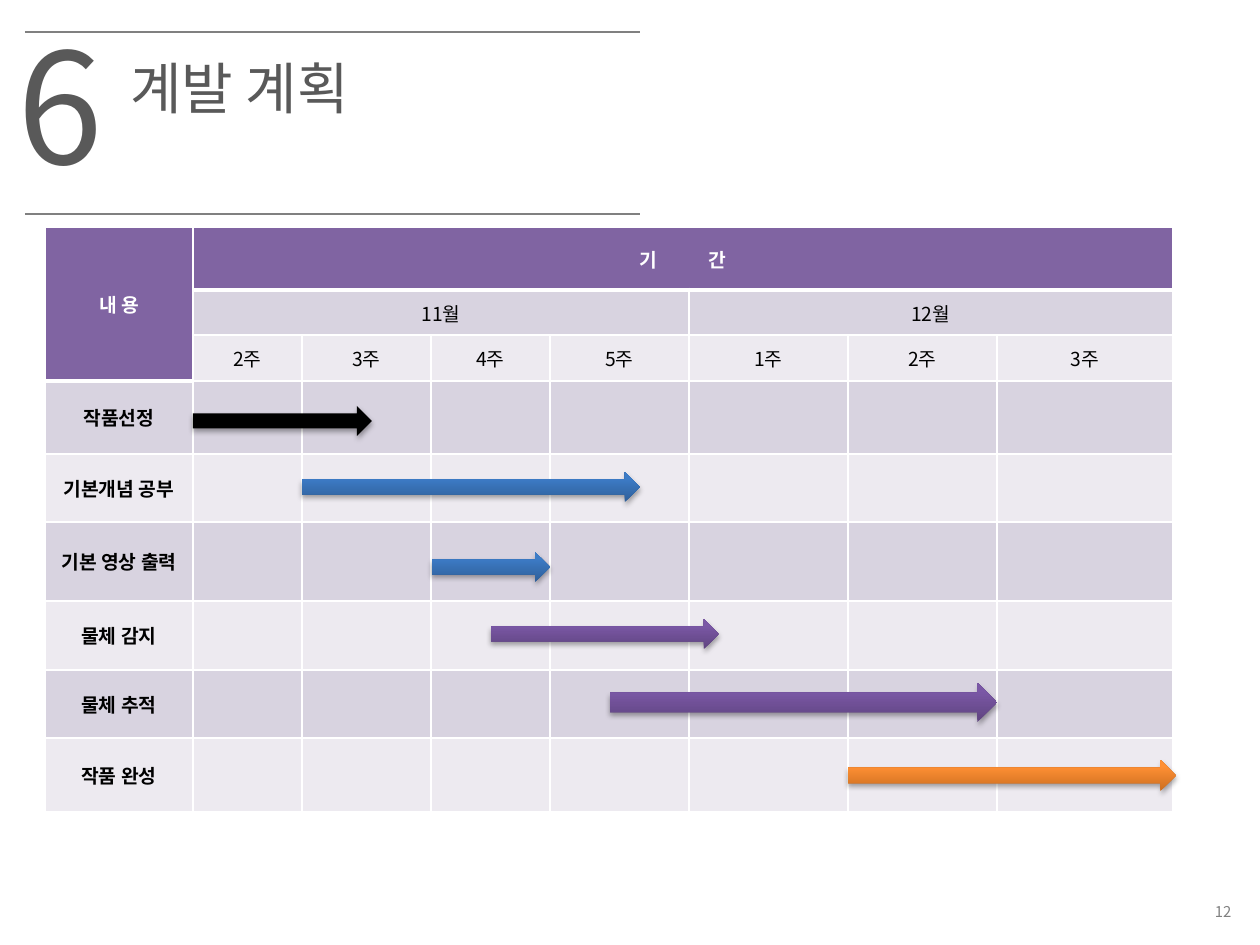
from pptx import Presentation
from pptx.dml.color import RGBColor as Rgb
from pptx.enum.shapes import MSO_CONNECTOR as Link, MSO_SHAPE as Preset
from pptx.enum.text import MSO_ANCHOR as Anchor, MSO_AUTO_SIZE as AutoSize, PP_ALIGN as Align
from pptx.oxml import parse_xml
from pptx.oxml.ns import nsdecls, qn
from pptx.util import Emu, Pt
from lxml.etree import SubElement

FONT = "Noto Sans CJK KR"
COLORS = {
    "heading": "595959", "rule": "808080", "white": "FFFFFF", "black": "000000",
    "purple": "8064A2", "dark band": "D8D3E0", "light band": "EDEAF0",
}
GRADIENTS = {
    "blue": ("2F5F99", "3D7CC7"),
    "violet": ("5F4480", "7B58A6"),
    "orange": ("CC6E20", "FF9034"),
}
COLUMNS = [148, 109, 129, 119, 139, 159, 149, 176]
ROWS = [63, 45, 46, 73, 68, 79, 69, 68, 74]
WEEKS = ["2주", "3주", "4주", "5주", "1주", "2주", "3주"]
TASKS = [
    ("작품선정", "black", (193, 406, 179, 30)),
    ("기본개념 공부", "blue", (302, 472, 338, 30)),
    ("기본 영상 출력", "blue", (432, 552, 118, 30)),
    ("물체 감지", "violet", (491, 619, 228, 30)),
    ("물체 추적", "violet", (610, 683, 387, 39)),
    ("작품 완성", "orange", (848, 760, 328, 31)),
]


def px(length):
    return Emu(round(length * 914400 / 126))


def color(name):
    return Rgb.from_string(COLORS[name])


class SlideBuilder:
    def __init__(self, page):
        self.page = page

    def style(self, para, size, ink, align, bold=False):
        para.alignment = align
        font = para.font
        font.size, font.bold, font.name = Pt(size), bold, FONT
        font.color.rgb = color(ink)
        defaults = para._p.pPr.find(qn("a:defRPr"))
        SubElement(defaults, qn("a:ea")).set("typeface", FONT)

    def fill_text(self, shape, text, size, ink, align=Align.LEFT, anchor=Anchor.TOP, spacing=0.9):
        frame = shape.text_frame
        frame.text = text
        frame.word_wrap = True
        frame.auto_size = AutoSize.NONE
        frame.vertical_anchor = anchor
        para = frame.paragraphs[0]
        para.line_spacing = spacing
        self.style(para, size, ink, align)

    def title(self, text, left, top, width, height):
        shape = self.page.shapes.title
        shape.left, shape.top, shape.width, shape.height = map(px, (left, top, width, height))
        self.fill_text(shape, text, 32, "heading")
        shape.text_frame.margin_left = px(25)

    def text(self, text, left, top, width, height, size, ink, **layout):
        box = self.page.shapes.add_textbox(*map(px, (left, top, width, height)))
        self.fill_text(box, text, size, ink, **layout)

    def rule(self, left, right, top):
        line = self.page.shapes.add_connector(Link.STRAIGHT, *map(px, (left, top, right, top)))
        line.line.color.rgb = color("rule")
        line.line.width = Pt(0.75)
        SubElement(line._element.spPr, qn("a:effectLst"))

    def table(self, left, top, columns, rows):
        frame = self.page.shapes.add_table(
            len(rows), len(columns), *map(px, (left, top, sum(columns), sum(rows))))
        table = frame.table
        table.first_row = table.horz_banding = False
        for column, width in zip(table.columns, columns):
            column.width = px(width)
        for row, height in zip(table.rows, rows):
            row.height = px(height)
        return table

    def cell(self, cell, text, fill, ink, bold, top_border, bottom_border):
        borders = {"L": 1, "R": 1, "T": top_border, "B": bottom_border}
        properties = cell._tc.get_or_add_tcPr()
        for side, width in borders.items():
            properties.append(parse_xml(
                f'<a:ln{side} {nsdecls("a")} w="{Pt(width)}"><a:solidFill>'
                f'<a:srgbClr val="{COLORS["white"]}"/></a:solidFill></a:ln{side}>'))
        cell.fill.solid()
        cell.fill.fore_color.rgb = color(fill)
        cell.vertical_anchor = Anchor.MIDDLE
        cell.text = text
        self.style(cell.text_frame.paragraphs[0], 11, ink, Align.CENTER, bold)

    def arrow(self, paint, left, top, width, height):
        shape = self.page.shapes.add_shape(
            Preset.RIGHT_ARROW, *map(px, (left, top, width, height)))
        shape.line.fill.background()
        if paint in GRADIENTS:
            shape.fill.gradient()
            shape.fill.gradient_angle = 90
            stops = shape.fill.gradient_stops
            for stop, position, shade in zip(stops, (0, 0.8), GRADIENTS[paint]):
                stop.position = position
                stop.color.rgb = Rgb.from_string(shade)
        else:
            shape.fill.solid()
            shape.fill.fore_color.rgb = color(paint)
        shape.shadow.inherit = False
        shape._element.spPr.find(qn("a:effectLst")).append(parse_xml(
            f'<a:outerShdw {nsdecls("a")} blurRad="{Pt(3.1)}" dist="{Pt(1.8)}" dir="5400000" '
            f'rotWithShape="0"><a:srgbClr val="{COLORS["black"]}">'
            '<a:alpha val="35000"/></a:srgbClr></a:outerShdw>'))


def add_schedule(builder):
    table = builder.table(45, 227, COLUMNS, ROWS)
    texts = {(0, 0): "내 용", (0, 1): "기 간", (1, 1): "11월", (1, 5): "12월"}
    texts.update({(2, column): week for column, week in enumerate(WEEKS, 1)})
    texts.update({(row, 0): task[0] for row, task in enumerate(TASKS, 3)})

    def bottom_border(row, column):
        return 3 if row == (2 if column == 0 else 0) else 1

    for row in range(len(ROWS)):
        for column in range(len(COLUMNS)):
            heading = row == 0 or (column == 0 and row < 3)
            band = "dark band" if row % 2 else "light band"
            builder.cell(
                table.cell(row, column), texts.get((row, column), ""),
                "purple" if heading else band, "white" if heading else "black",
                heading or column == 0,
                bottom_border(row - 1, column), bottom_border(row, column))

    for first, last in [((0, 0), (2, 0)), ((0, 1), (0, 7)), ((1, 1), (1, 4)), ((1, 5), (1, 7))]:
        table.cell(*first).merge(table.cell(*last))

    para = table.cell(0, 1).text_frame.paragraphs[0]
    para.runs[0].text = "기 "
    para.runs[0]._r.get_or_add_rPr().set("spc", "1350")
    para.add_run().text = "간"


def main():
    deck = Presentation()
    deck.slide_width, deck.slide_height = px(1260), px(945)
    builder = SlideBuilder(deck.slides.add_slide(deck.slide_layouts[5]))
    builder.text("12", 978, 895, 266, 34, 8.5, "rule",
                 align=Align.RIGHT, anchor=Anchor.MIDDLE, spacing=1.0)
    builder.title("계발 계획", 105, 55, 566, 81)
    builder.text("6", 5, 25, 149, 199, 88, "heading")
    for top in (32, 214):
        builder.rule(25, 640, top)
    add_schedule(builder)
    for label, paint, bounds in TASKS:
        builder.arrow(paint, *bounds)
    deck.save("out.pptx")


if __name__ == "__main__":
    main()
